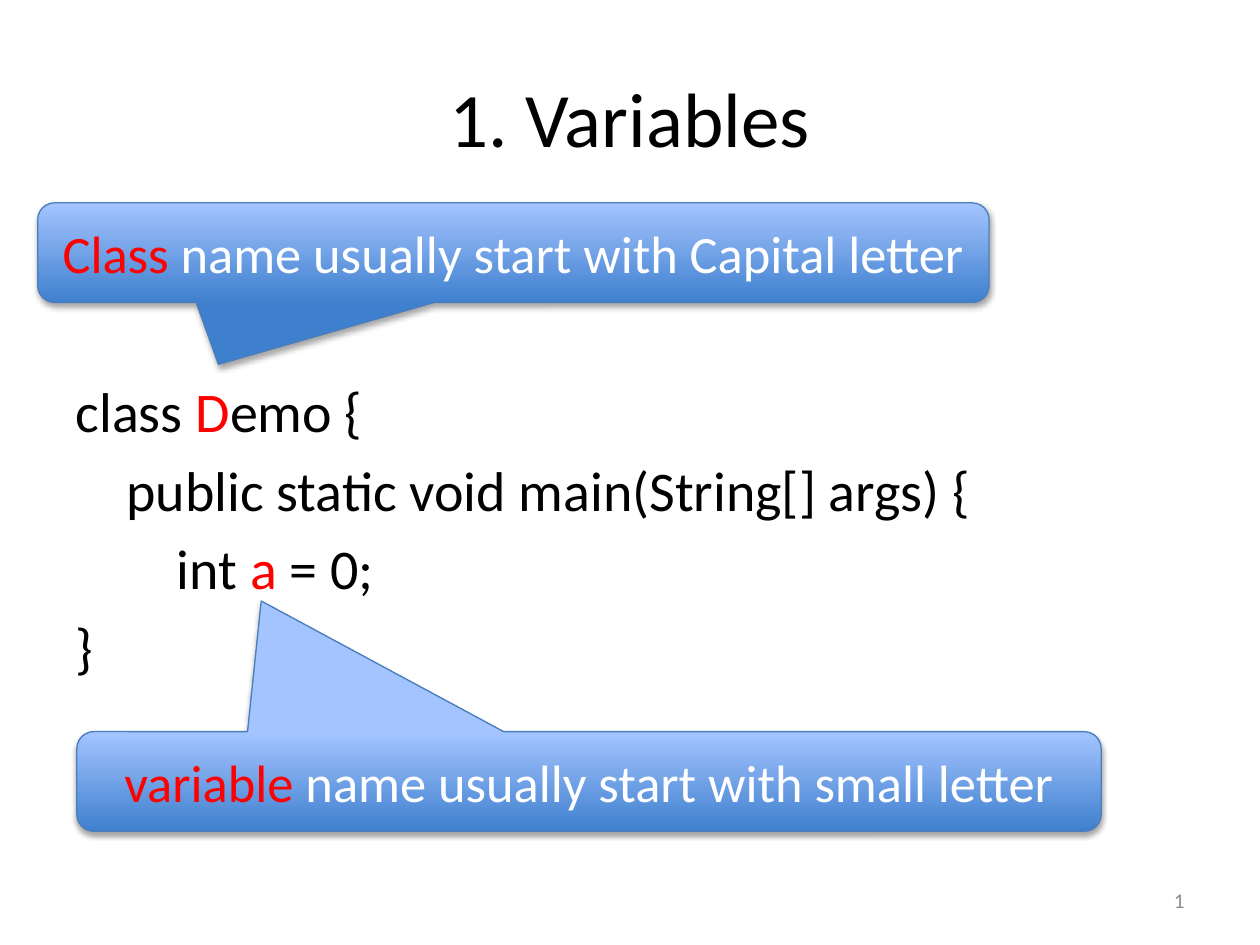
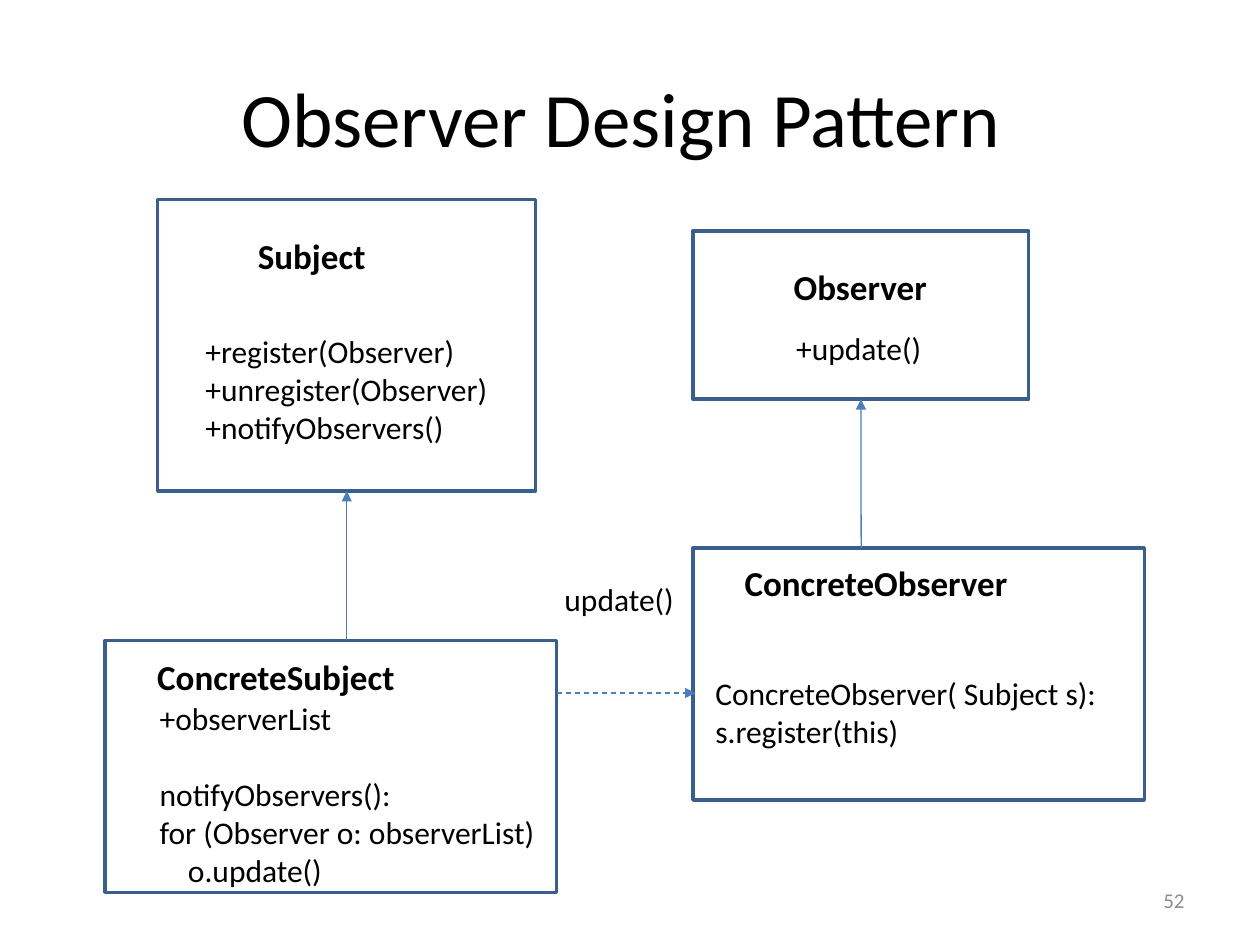
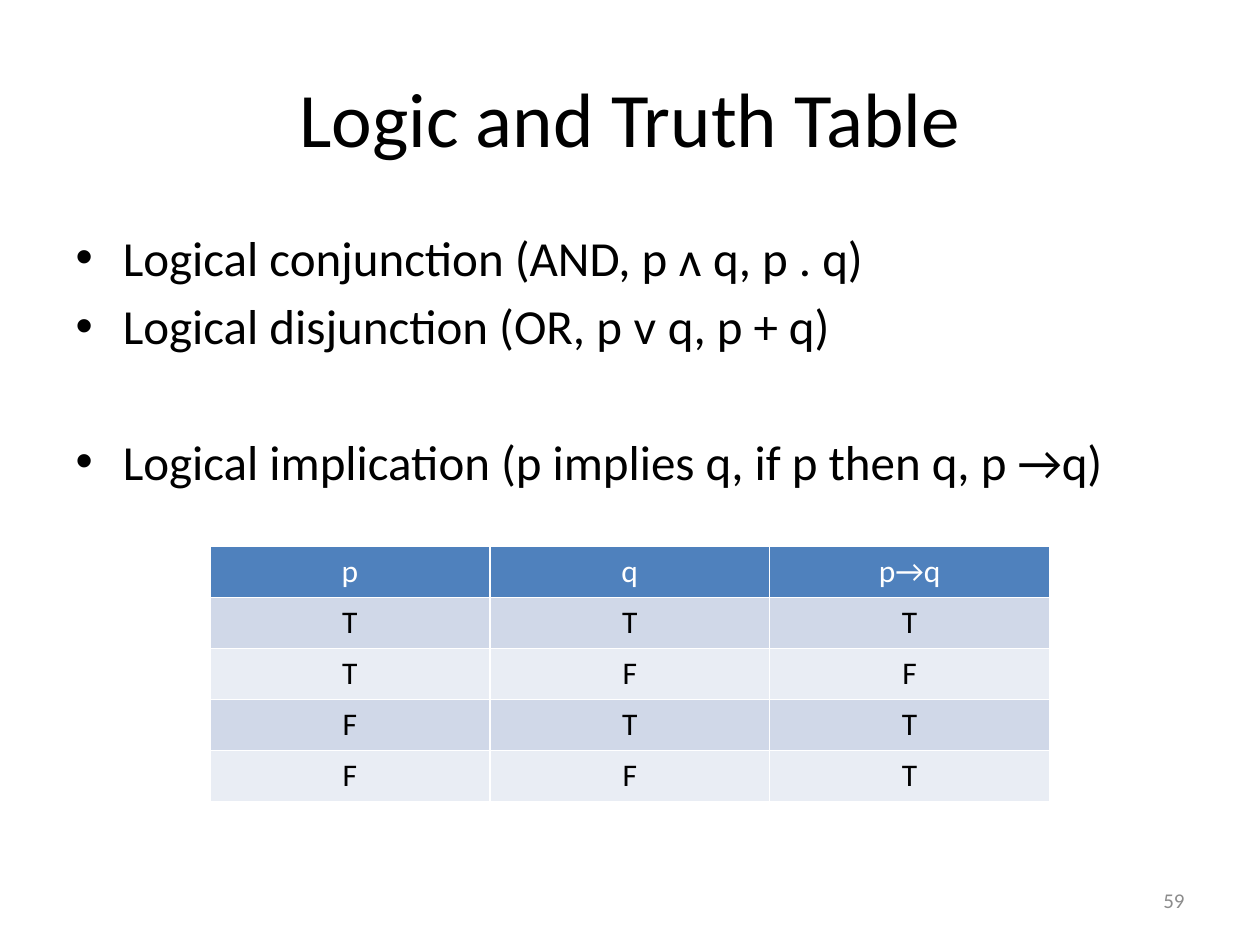
from dataclasses import dataclass, field

from lxml import etree
from pptx import Presentation
from pptx import util as u
from pptx.dml import color
from pptx.enum import dml, shapes, text
from pptx.oxml import ns

RGB = color.RGBColor.from_string
SHAPE = shapes.MSO_SHAPE
ALIGN = text.PP_ALIGN
MID = text.MSO_ANCHOR.MIDDLE


@dataclass
class Theme:
    font: str = "Calibri"
    ink: str = "000000"
    paper: str = "FFFFFF"
    mark: str = "FF0000"
    mute: str = "8C8C8C"
    edge: str = "3A5F8C"
    link: str = "4B7EBC"
    head: str = "4F81BD"
    bands: tuple = ("D0D8E8", "E9EDF4")
    fade: tuple = ("3F80CE", "A4C4FF")
    size: dict = field(default_factory=lambda: {
        "title": 44, "code": 32, "list": 28, "call": 30,
        "name": 20, "part": 18, "cell": 18, "page": 12})


def setup(item, **form):
    for key, value in form.items():
        setattr(item, key, value)


def child(node, tag, **form):
    return etree.SubElement(node, ns.qn(tag), form)


class Deck:
    def __init__(self, theme):
        self.theme = theme
        self.prs = Presentation()
        setup(self.prs, slide_width=u.Cm(25.4), slide_height=u.Cm(19.05))
        self.slide = None

    def start(self, title, page, layout):
        self.slide = self.prs.slides.add_slide(self.prs.slide_layouts[layout])
        head = self.slide.shapes.title
        self.place(head, 1.27, 0.76, 22.86, 3.18)
        head.text_frame.vertical_anchor = MID
        self.put(head.text_frame.paragraphs[0], title, "title", align=ALIGN.CENTER)
        frame = self.label(18.2, 17.65, 5.93, 1.01, [page], "page",
                           tint=self.theme.mute, align=ALIGN.RIGHT)
        setup(frame, vertical_anchor=MID, word_wrap=True,
              auto_size=text.MSO_AUTO_SIZE.NONE)

    def place(self, item, x, y, w, h):
        setup(item, left=u.Cm(x), top=u.Cm(y), width=u.Cm(w), height=u.Cm(h))

    def put(self, para, words, role, tint=None, bold=False, align=ALIGN.LEFT):
        para.alignment = align
        for i, piece in enumerate(words.split("|")):
            if piece:
                run = para.add_run()
                run.text = piece
                setup(run.font, name=self.theme.font, bold=bold,
                      size=u.Pt(self.theme.size[role]))
                run.font.color.rgb = RGB(self.theme.mark if i % 2 else tint or self.theme.ink)

    def fill(self, frame, lines, role, **form):
        for i, line in enumerate(lines):
            para = frame.add_paragraph() if i else frame.paragraphs[0]
            self.put(para, line, role, **form)

    def body(self, y, h, lines, role):
        hold = self.slide.placeholders[1]
        self.place(hold, 1.27, y, 22.86, h)
        self.fill(hold.text_frame, lines, role)
        return hold.text_frame.paragraphs

    def code(self, y, h, lines, depths):
        for para, depth in zip(self.body(y, h, lines, "code"), depths):
            self.dent(para, 1.02 * depth)
            child(para._p.get_or_add_pPr(), "a:buNone")

    def dent(self, para, left):
        props = para._p.get_or_add_pPr()
        props.set("marL", str(u.Cm(left)))
        props.set("indent", "0")

    def label(self, x, y, w, h, lines, role, **form):
        box = self.slide.shapes.add_textbox(u.Cm(x), u.Cm(y), u.Cm(w), u.Cm(h))
        frame = box.text_frame
        setup(frame, word_wrap=False, auto_size=text.MSO_AUTO_SIZE.SHAPE_TO_FIT_TEXT)
        self.fill(frame, lines, role, **form)
        return frame

    def shape(self, kind, x, y, w, h, edge, width):
        item = self.slide.shapes.add_shape(kind, u.Cm(x), u.Cm(y), u.Cm(w), u.Cm(h))
        item.line.width = u.Pt(width)
        item.line.color.rgb = RGB(edge)
        item.shadow.inherit = False
        return item

    def box(self, x, y, w, h):
        item = self.shape(SHAPE.RECTANGLE, x, y, w, h, self.theme.edge, 2)
        item.fill.background()
        return item

    def call(self, x, y, w, tip, words):
        item = self.shape(SHAPE.ROUNDED_RECTANGULAR_CALLOUT, x, y, w, 2.01,
                          self.theme.link, 0.75)
        for i, value in enumerate(tip):
            item.adjustments[i] = value
        item.fill.gradient()
        item.fill.gradient_angle = 90
        for stop, tint in zip(item.fill.gradient_stops, self.theme.fade):
            stop.color.rgb = RGB(tint)
        glow = child(item._element.spPr.find(ns.qn("a:effectLst")), "a:outerShdw",
                     blurRad=str(u.Pt(3.1)), dist=str(u.Pt(1.8)),
                     dir="5400000", rotWithShape="0")
        child(child(glow, "a:srgbClr", val=self.theme.ink), "a:alpha", val="35000")
        item.text_frame.vertical_anchor = MID
        self.put(item.text_frame.paragraphs[0], words, "call",
                 tint=self.theme.paper, align=ALIGN.CENTER)

    def arrow(self, x1, y1, x2, y2, goal=None, dash=None):
        line = self.slide.shapes.add_connector(
            shapes.MSO_CONNECTOR.STRAIGHT, u.Cm(x1), u.Cm(y1), u.Cm(x2), u.Cm(y2))
        if goal:
            line.end_connect(goal, 2)
        setup(line.line, width=u.Pt(0.75), dash_style=dash)
        line.line.color.rgb = RGB(self.theme.link)
        props = line._element.spPr
        child(props.find(ns.qn("a:ln")), "a:tailEnd", type="triangle")
        child(props, "a:effectLst")

    def table(self, x, y, w, h, rows):
        grid = self.slide.shapes.add_table(
            len(rows), len(rows[0]), u.Cm(x), u.Cm(y), u.Cm(w), u.Cm(h)).table
        for r, row in enumerate(rows):
            for c, word in enumerate(row):
                cell = grid.cell(r, c)
                cell.fill.solid()
                cell.fill.fore_color.rgb = RGB(self.theme.bands[(r - 1) % 2] if r else self.theme.head)
                self.put(cell.text_frame.paragraphs[0], word, "cell",
                         tint=None if r else self.theme.paper, align=ALIGN.CENTER)


def names(deck):
    deck.start("1. Variables", "1", 1)
    deck.code(7.47, 8.56, ["class |D|emo {", "public static void main(String[] args) {",
                           "int |a| = 0;", "}"], (0, 1, 2, 0))
    deck.call(0.76, 4.09, 19.18, (-0.31, 1.12, 0.17),
              "|Class| name usually start with Capital letter")
    deck.call(1.55, 14.75, 20.65, (-0.32, -1.81, 0.17),
              "|variable| name usually start with small letter")


def watch(deck):
    deck.start("Observer Design Pattern ", "52", 5)
    viewer = deck.box(13.97, 4.66, 6.77, 3.39)
    topic = deck.box(3.18, 4.02, 7.62, 5.88)
    deck.box(2.12, 12.91, 9.1, 5.08)
    deck.box(13.97, 11.05, 9.1, 5.08)
    for x, y, w, name in ((15.75, 5.23, 3.23, "Observer"),
                          (4.95, 4.6, 2.69, "Subject"),
                          (2.92, 13.08, 5.33, "ConcreteSubject"),
                          (14.76, 11.2, 5.87, "ConcreteObserver")):
        deck.label(x, y, w, 1.12, [name], "name", bold=True)
    deck.label(15.8, 6.5, 3.07, 1.02, ["+update()"], "part")
    deck.label(3.89, 6.57, 6.27, 2.58,
               ["+register(Observer)", "+unregister(Observer)", "+notifyObservers()"], "part")
    steps = deck.label(2.97, 13.97, 8.15, 4.13,
                       ["+observerList", "notifyObservers():",
                        "for (Observer o: observerList)", "o.update()"], "part").paragraphs
    steps[1].space_before = u.Pt(22)
    deck.dent(steps[3], 0.57)
    deck.label(14.17, 13.46, 8.28, 1.8,
               ["ConcreteObserver( Subject s):", "s.register(this)"], "part")
    deck.label(11.13, 11.56, 2.74, 1.02, ["update()"], "part")
    deck.arrow(6.99, 12.91, 6.99, 9.9, topic)
    deck.arrow(17.36, 11.05, 17.36, 8.05, viewer)
    deck.arrow(11.22, 13.97, 14.02, 13.97, dash=dml.MSO_LINE.DASH)


def logic(deck):
    deck.start("Logic and Truth Table", "59", 1)
    items = deck.body(4.45, 12.57, ["Logical conjunction (AND, p ᴧ q, p . q)",
                                    "Logical disjunction (OR, p ᴠ q, p + q)",
                                    "Logical implication (p implies q, if p then q, p →q)"],
                      "list")
    items[2].space_before = u.Pt(44)
    deck.table(4.23, 11.01, 16.93, 5.15, [["p", "q", "p→q"], *("TTT", "TFF", "FTT", "FFT")])


def main():
    deck = Deck(Theme())
    for build in (names, watch, logic):
        build(deck)
    deck.prs.save("out.pptx")


if __name__ == "__main__":
    main()
